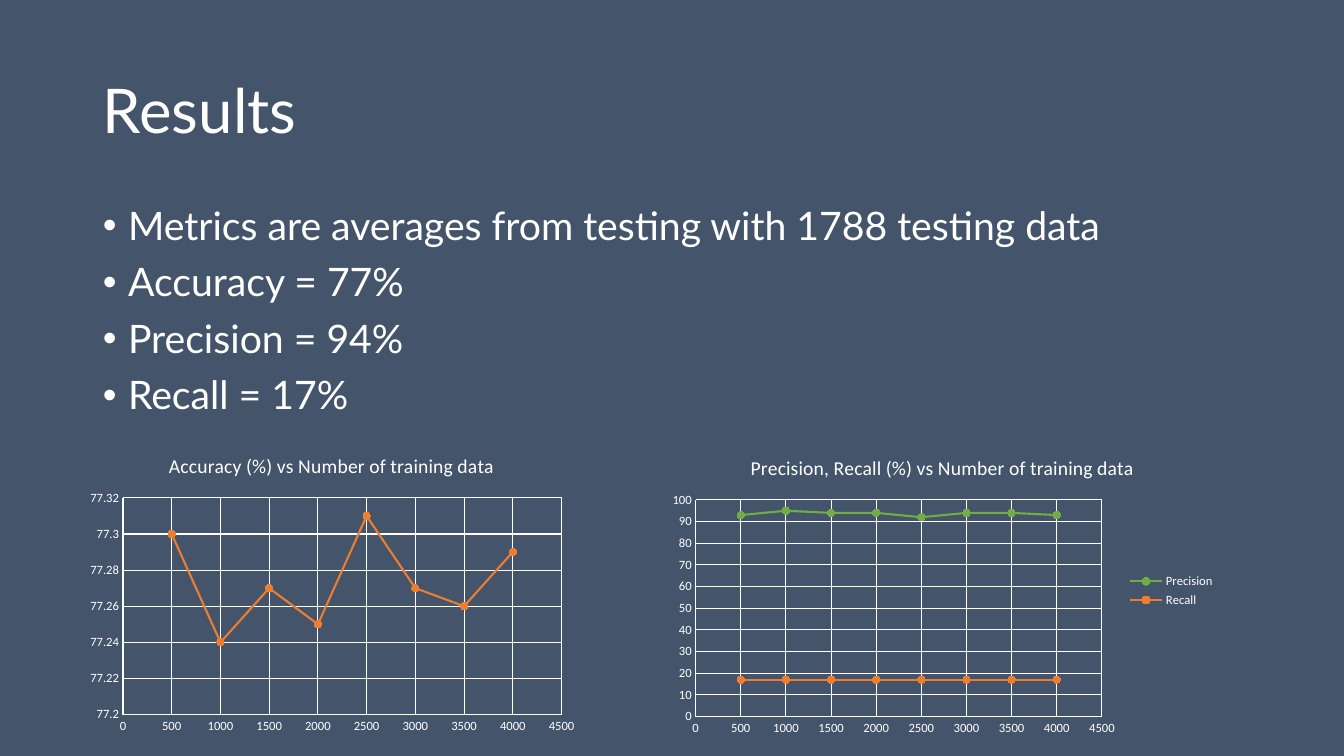
from dataclasses import dataclass

from lxml.etree import SubElement
from pptx import Presentation
from pptx.chart.axis import ValueAxis
from pptx.chart.chart import Chart
from pptx.chart.data import XyChartData
from pptx.chart.series import XySeries
from pptx.dml.color import RGBColor
from pptx.dml.fill import FillFormat
from pptx.enum.chart import XL_CHART_TYPE as ChartType
from pptx.enum.chart import XL_LEGEND_POSITION as LegendPosition
from pptx.enum.chart import XL_MARKER_STYLE as MarkerStyle
from pptx.enum.chart import XL_TICK_MARK as TickMark
from pptx.enum.text import MSO_ANCHOR, MSO_AUTO_SIZE, PP_ALIGN
from pptx.oxml import parse_xml
from pptx.oxml.ns import nsdecls, qn
from pptx.slide import Slide
from pptx.text.text import Font
from pptx.util import Inches, Pt

SLATE, WHITE, ORANGE, GREEN = "44546A", "FFFFFF", "ED7D31", "70AD47"
TRAINING_SIZES = range(500, 4001, 500)
BULLETS = [
    "Metrics are averages from testing with 1788 testing data",
    "Accuracy = 77%",
    "Precision = 94%",
    "Recall = 17%",
]


@dataclass
class Metric:
    name: str
    color: str
    values: list[float]


@dataclass
class MetricChart:
    """All in inches; plot and title_at are measured from the box's corner."""
    title: str
    box: tuple[float, float, float, float]
    plot: tuple[float, float, float, float]
    title_at: tuple[float, float]
    scale: tuple[float, float, float]
    metrics: list[Metric]
    legend: bool


CHARTS = [
    MetricChart(
        "Accuracy (%) vs Number of training data",
        (0.79, 4.33, 5, 3), (0.43, 0.61, 4.35, 2.15), (0.85, 0.12),
        (77.2, 77.32, 0.02),
        [Metric("Accuracy", ORANGE,
                [77.3, 77.24, 77.27, 77.25, 77.31, 77.27, 77.26, 77.29])],
        False,
    ),
    MetricChart(
        "Precision, Recall (%) vs Number of training data",
        (6.56, 4.36, 5.59, 3), (0.34, 0.6, 4.03, 2.15), (0.85, 0.11),
        (0, 100, 10),
        [Metric("Precision", GREEN, [93, 95, 94, 94, 92, 94, 94, 93]),
         Metric("Recall", ORANGE, [17] * len(TRAINING_SIZES))],
        True,
    ),
]


def paint(fill: FillFormat, color: str) -> None:
    fill.solid()
    fill.fore_color.rgb = RGBColor.from_string(color)


def set_font(font: Font, name: str, size: float) -> None:
    font.name, font.size, font.bold = name, Pt(size), False
    paint(font.fill, WHITE)


def place(chart: Chart, query: str, index: int, item: MetricChart,
          lengths: tuple[float, ...]) -> None:
    """Give the chart part found by query a manual layout."""
    part = chart._chartSpace.xpath(query)[0]
    for old in part.findall(qn("c:layout")):
        part.remove(old)
    layout = parse_xml(f"<c:layout {nsdecls('c')}><c:manualLayout/></c:layout>")
    settings = {"xMode": "edge", "yMode": "edge"}
    if len(lengths) == 4:
        settings = {"layoutTarget": "inner", **settings}
    width, height = item.box[2:]
    for tag, length, whole in zip("xywh", lengths, (width, height) * 2):
        settings[tag] = f"{length / whole:.4f}"
    for tag, value in settings.items():
        SubElement(layout[0], qn(f"c:{tag}")).set("val", value)
    part.insert(index, layout)


def style_axis(axis: ValueAxis, low: float, high: float, step: float) -> None:
    axis.minimum_scale, axis.maximum_scale, axis.major_unit = low, high, step
    axis.major_tick_mark = axis.minor_tick_mark = TickMark.NONE
    axis.has_major_gridlines = True
    for line in (axis.format.line, axis.major_gridlines.format.line):
        paint(line.fill, WHITE)
        line.width = Pt(0.75)
    axis.tick_labels.number_format = "General"
    axis.tick_labels.number_format_is_linked = False
    set_font(axis.tick_labels.font, "Calibri", 9)


def style_series(series: XySeries, color: str) -> None:
    series.smooth = False
    paint(series.format.line.fill, color)
    series.format.line.width = Pt(1.5)
    series.marker.style, series.marker.size = MarkerStyle.CIRCLE, 5
    paint(series.marker.format.fill, color)
    paint(series.marker.format.line.fill, color)


def add_metric_chart(page: Slide, item: MetricChart) -> None:
    data = XyChartData()
    for metric in item.metrics:
        points = data.add_series(metric.name)
        for size, value in zip(TRAINING_SIZES, metric.values):
            points.add_data_point(size, value)
    frame = page.shapes.add_chart(
        ChartType.XY_SCATTER_LINES, *map(Inches, item.box), data)
    chart = frame.chart
    set_font(chart.font, "Calibri", 10)

    heading = chart.chart_title.text_frame
    heading.text = item.title
    set_font(heading.paragraphs[0].font, "Calibri", 14)
    chart.chart_title.include_in_layout = False
    place(chart, "c:chart/c:title", 1, item, item.title_at)
    place(chart, "c:chart/c:plotArea", 0, item, item.plot)

    style_axis(chart.category_axis, 0, 4500, 500)
    style_axis(chart.value_axis, *item.scale)
    chart.plots[0].vary_by_categories = False
    for series, metric in zip(chart.plots[0].series, item.metrics):
        style_series(series, metric.color)

    chart.has_legend = item.legend
    if item.legend:
        chart.legend.position = LegendPosition.RIGHT
        chart.legend.include_in_layout = False
        set_font(chart.legend.font, "Calibri", 9)


def fill_placeholder(page: Slide, index: int, lines: list[str], size: float,
                     top: float, height: float, anchor: MSO_ANCHOR,
                     bulleted: bool) -> None:
    box = page.placeholders[index]
    box.left, box.top = Inches(0.92), Inches(top)
    box.width, box.height = Inches(11.5), Inches(height)
    frame = box.text_frame
    frame.text = "\n".join(lines)
    frame.word_wrap = True
    frame.auto_size = MSO_AUTO_SIZE.NONE
    frame.vertical_anchor = anchor
    for number, para in enumerate(frame.paragraphs):
        para.alignment = PP_ALIGN.LEFT
        para.line_spacing = 0.9
        para.space_before = Pt(10 if number else 0)
        if bulleted:
            props = para._p.get_or_add_pPr()
            props.set("marL", str(Inches(0.25)))
            props.set("indent", str(Inches(-0.25)))
            SubElement(props, qn("a:buFont")).set("typeface", "Arial")
            SubElement(props, qn("a:buChar")).set("char", "•")
        set_font(para.font, "Lato", size)


def main() -> None:
    deck = Presentation()
    deck.slide_width, deck.slide_height = Inches(13.33), Inches(7.5)
    page = deck.slides.add_slide(deck.slide_layouts[1])
    paint(page.background.fill, SLATE)
    fill_placeholder(page, 0, ["Results"], 44, 0.4, 1.45,
                     MSO_ANCHOR.MIDDLE, False)
    fill_placeholder(page, 1, BULLETS, 28, 2, 4.76, MSO_ANCHOR.TOP, True)
    for item in CHARTS:
        add_metric_chart(page, item)
    deck.save("out.pptx")


if __name__ == "__main__":
    main()
